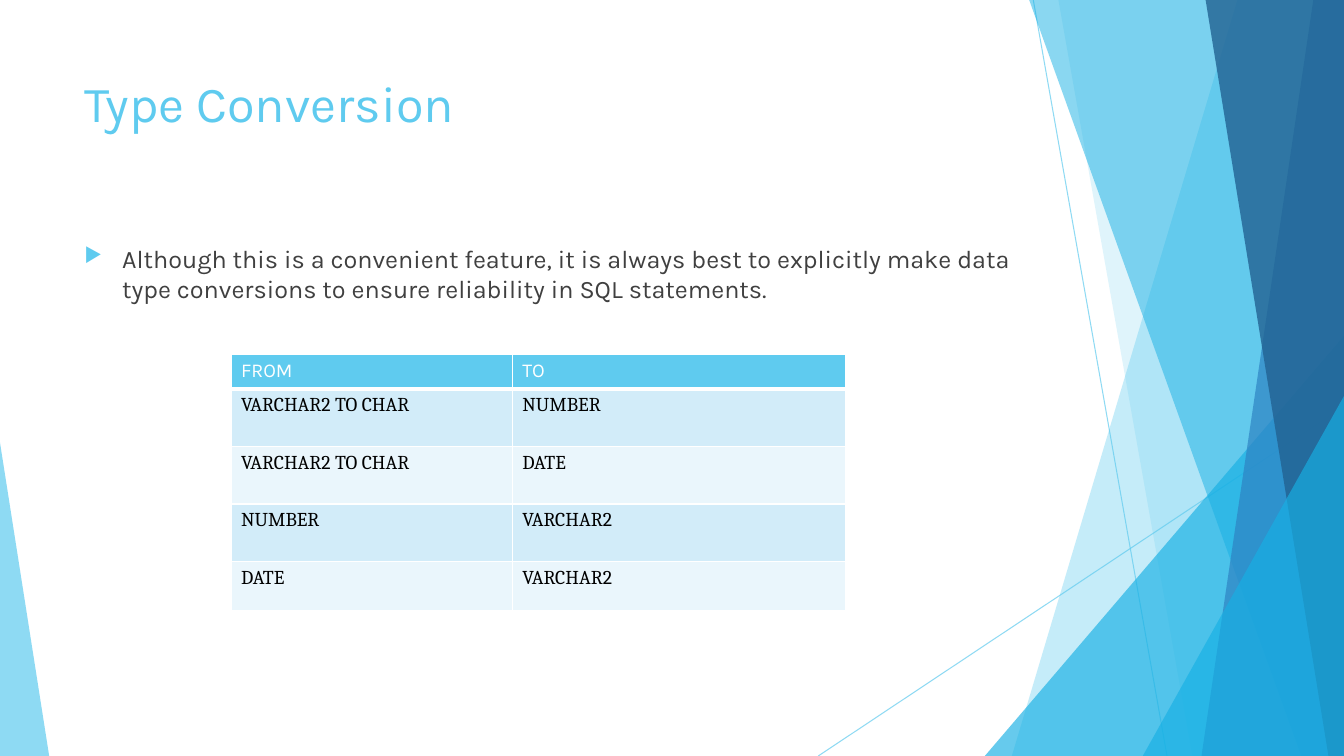
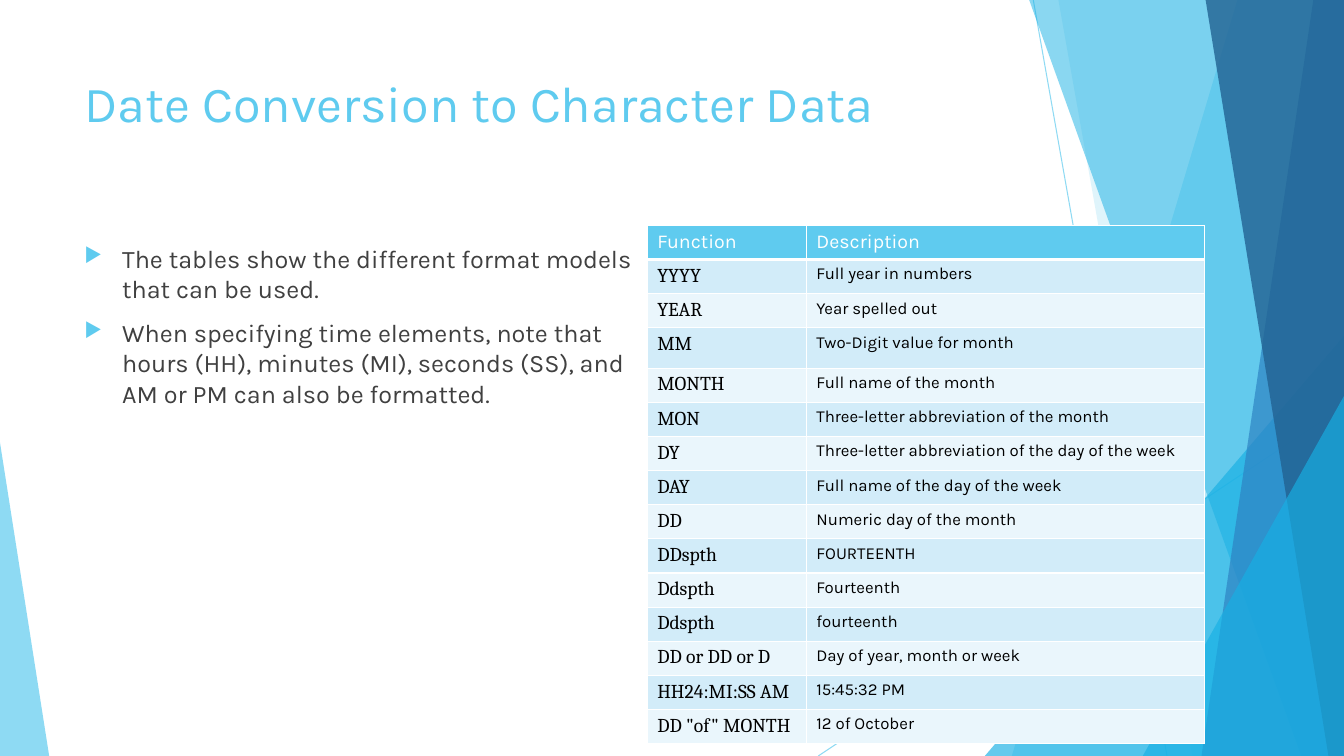
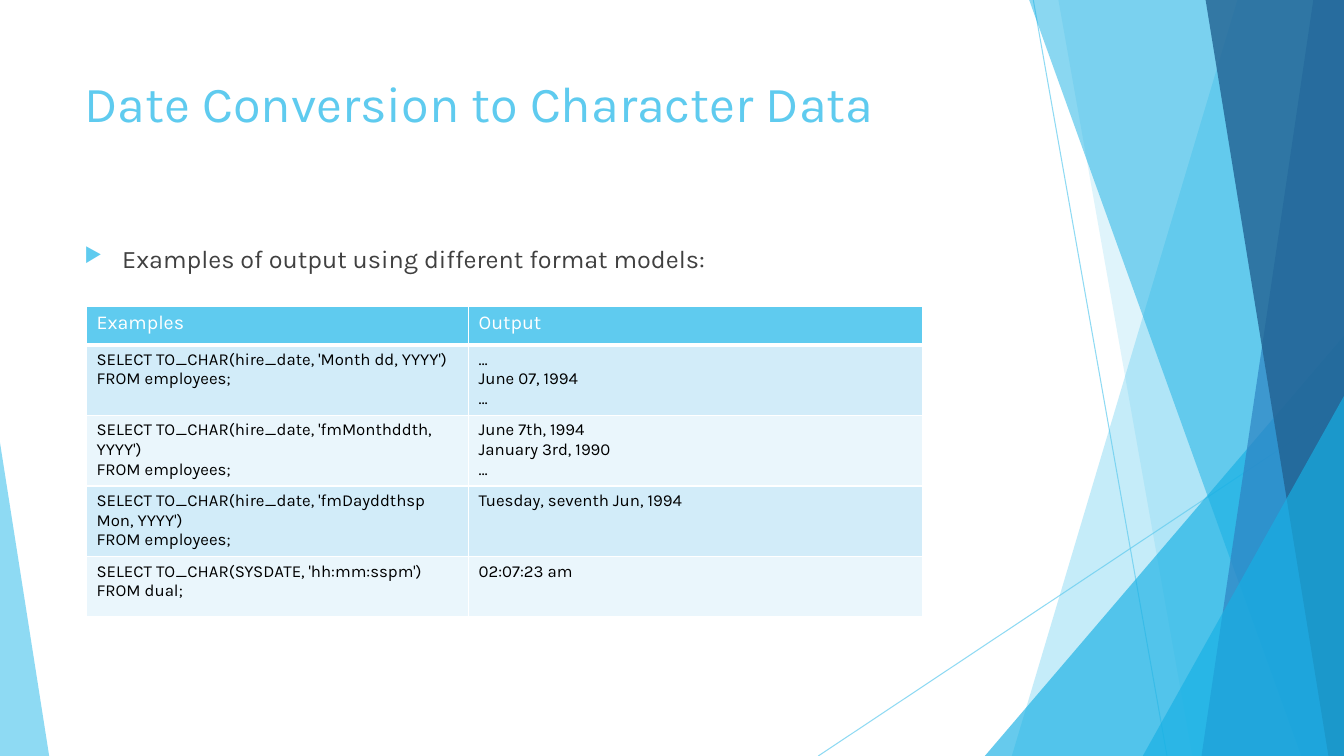
from dataclasses import dataclass

from lxml.etree import SubElement
from pptx import Presentation
from pptx.dml.color import RGBColor
from pptx.enum.shapes import MSO_CONNECTOR, MSO_SHAPE
from pptx.oxml.ns import qn
from pptx.util import Cm, Pt


@dataclass(frozen=True)
class Theme:
    sky: str = "5FCBEF"
    cyan: str = "17B0E4"
    blue: str = "2E83C3"
    navy: str = "226292"
    body: str = "404040"
    black: str = "000000"
    white: str = "FFFFFF"
    stripes: tuple = ("D2ECF9", "EAF6FC")
    font: str = "Karla"
    serif: str = "Cambria"
    title_size: int = 36
    body_size: int = 18
    table_size: int = 14
    small_size: int = 12


T = Theme()
W, H = 33.87, 19.05
TOP = -0.02

LINES = [(26.04, 0, 29.41, H), (W, 10.24, 20.62, H)]

# Bands: left edge at the top and at the bottom, both running to the right edge.
# Triangles: left, top, width and place of the apex, all standing on the bottom edge.
DECOR = [
    ("band", (31.19, 25.5), T.sky, 36),
    ("band", (26.67, 30.05), T.sky, 20),
    ("triangle", (24.82, 8.46, 9.05, 1), T.cyan, 66),
    ("band", (25.93, 32.79), T.cyan, 50),
    ("band", (33.1, 30.28), T.blue, 70),
    ("band", (30.38, 33.48), T.navy, 80),
    ("triangle", (28.8, 9.98, 5.07, 1), T.cyan, 66),
    ("triangle", (0, 11.15, 1.24, 0), T.sky, 70),
]

SERIF_CELL = (T.serif, T.table_size)
SMALL_CELL = (T.font, T.small_size)

SLIDES = [
    {
        "title": "Type Conversion",
        "bullets": [
            "Although this is a convenient feature, it is always best to explicitly make data "
            "type conversions to ensure reliability in SQL statements.",
        ],
        "body_width": 23.88,
        "table_at": (5.82, 8.94),
        "cols": (7.09, 8.41),
        "heights": [0.86] + [1.45] * 3 + [1.24],
        "styles": (SERIF_CELL, SERIF_CELL),
        "rows": [
            ("FROM", "TO"),
            ("VARCHAR2 TO CHAR", "NUMBER"),
            ("VARCHAR2 TO CHAR", "DATE"),
            ("NUMBER", "VARCHAR2"),
            ("DATE", "VARCHAR2"),
        ],
    },
    {
        "title": "Date Conversion to Character Data",
        "bullets": [
            "The tables show the different format models that can be used.",
            "When specifying time elements, note that hours (HH), minutes (MI), seconds (SS), "
            "and AM or PM can also be formatted.",
        ],
        "body_width": 14.43,
        "table_at": (16.31, 5.69),
        "cols": (4.01, 10.03),
        "heights": [0.84] + [0.86] * 2 + [1.02] + [0.86] * 11,
        "styles": (SERIF_CELL, SMALL_CELL),
        "rows": [
            ("Function", "Description"),
            ("YYYY", "Full year in numbers"),
            ("YEAR", "Year spelled out"),
            ("MM", "Two-Digit value for month"),
            ("MONTH", "Full name of the month"),
            ("MON", "Three-letter abbreviation of the month"),
            ("DY", "Three-letter abbreviation of the day of the week"),
            ("DAY", "Full name of the day of the week"),
            ("DD", "Numeric day of the month"),
            ("DDspth", "FOURTEENTH"),
            ("Ddspth", "Fourteenth"),
            ("Ddspth", "fourteenth"),
            ("DD or DD or D", "Day of year, month or week"),
            ("HH24:MI:SS AM", "15:45:32 PM"),
            ('DD "of" MONTH', "12 of October"),
        ],
    },
    {
        "title": "Date Conversion to Character Data",
        "bullets": ["Examples of output using different format models:"],
        "body_width": 25.88,
        "table_at": (2.18, 7.72),
        "cols": (9.63, 11.43),
        "heights": [0.97] + [1.5] * 4,
        "styles": (SMALL_CELL, SMALL_CELL),
        "rows": [
            ("Examples", "Output"),
            ("SELECT TO_CHAR(hire_date, 'Month dd, YYYY')\nFROM employees;",
             "…\nJune 07, 1994\n…"),
            ("SELECT TO_CHAR(hire_date, 'fmMonthddth, YYYY')\nFROM employees;",
             "June 7th, 1994\nJanuary 3rd, 1990\n…"),
            ("SELECT TO_CHAR(hire_date, 'fmDayddthsp\nMon, YYYY')\nFROM employees;",
             "Tuesday, seventh Jun, 1994"),
            ("SELECT TO_CHAR(SYSDATE, 'hh:mm:sspm')\nFROM dual;", "02:07:23 am"),
        ],
    },
]


def write(tf, text, font, size, color):
    """Fill a text frame, one paragraph per line, and format every run."""
    tf.word_wrap = True
    tf.text = text
    for p in tf.paragraphs:
        for r in p.runs:
            r.font.name, r.font.size, r.font.bold = font, Pt(size), False
            r.font.color.rgb = RGBColor.from_string(color)


def set_opacity(shape, percent):
    color = next(shape.element.spPr.iter(qn("a:srgbClr")))
    SubElement(color, qn("a:alpha"), val=str(percent * 1000))


prs = Presentation()
prs.slide_width, prs.slide_height = Cm(W), Cm(H)

for page in SLIDES:
    s = prs.slides.add_slide(prs.slide_layouts[6])

    # Shared background
    for x1, y1, x2, y2 in LINES:
        line = s.shapes.add_connector(MSO_CONNECTOR.STRAIGHT, Cm(x1), Cm(y1), Cm(x2), Cm(y2))
        line.line.color.rgb = RGBColor.from_string(T.sky)
        line.line.width = Pt(0.75)
        set_opacity(line, 70)
        SubElement(line.element.spPr, qn("a:effectLst"))
    for kind, place, color, opacity in DECOR:
        if kind == "band":
            top_x, bottom_x = place
            outline = s.shapes.build_freeform(Cm(top_x), Cm(TOP))
            corners = [(W, TOP), (W, H), (bottom_x, H)]
            outline.add_line_segments([(Cm(x), Cm(y)) for x, y in corners])
            sp = outline.convert_to_shape()
        else:
            x, y, width, apex = place
            sp = s.shapes.add_shape(MSO_SHAPE.ISOSCELES_TRIANGLE,
                                    Cm(x), Cm(y), Cm(width), Cm(H - y))
            sp.adjustments[0] = apex
        sp.shadow.inherit = False
        sp.fill.solid()
        sp.fill.fore_color.rgb = RGBColor.from_string(color)
        sp.line.fill.background()
        set_opacity(sp, opacity)

    # Title and bullets
    title = s.shapes.add_textbox(Cm(1.88), Cm(1.7), Cm(23.88), Cm(3.66))
    write(title.text_frame, page["title"], T.font, T.title_size, T.sky)

    body = s.shapes.add_textbox(Cm(1.88), Cm(6), Cm(page["body_width"]), Cm(10.77))
    write(body.text_frame, "\n".join(page["bullets"]), T.font, T.body_size, T.body)
    for p in body.text_frame.paragraphs:
        p.space_before = Pt(10)
        pPr = p._p.get_or_add_pPr()
        pPr.set("marL", str(Cm(0.95)))
        pPr.set("indent", str(-Cm(0.95)))
        SubElement(SubElement(pPr, qn("a:buClr")), qn("a:srgbClr"), val=T.sky)
        SubElement(pPr, qn("a:buSzPct"), val="80000")
        SubElement(pPr, qn("a:buChar"), char="▶")

    # Table
    x, y = page["table_at"]
    rows, cols, heights = page["rows"], page["cols"], page["heights"]
    table = s.shapes.add_table(len(rows), len(cols), Cm(x), Cm(y),
                               Cm(sum(cols)), Cm(sum(heights))).table
    for column, width in zip(table.columns, cols):
        column.width = Cm(width)
    for i, (row, height) in enumerate(zip(rows, heights)):
        table.rows[i].height = Cm(height)
        for j, text in enumerate(row):
            cell = table.cell(i, j)
            if i == 0:
                font, size, color, fill = T.font, T.table_size, T.white, T.sky
            else:
                font, size = page["styles"][j]
                color, fill = T.black, T.stripes[(i - 1) % 2]
            write(cell.text_frame, text, font, size, color)
            tcPr = cell._tc.get_or_add_tcPr()
            for side in ("lnL", "lnR", "lnT", "lnB"):
                weight = 3 if i == 0 and side == "lnB" else 1
                border = SubElement(tcPr, qn(f"a:{side}"), w=str(Pt(weight)))
                SubElement(SubElement(border, qn("a:solidFill")), qn("a:srgbClr"), val=T.white)
            cell.fill.solid()
            cell.fill.fore_color.rgb = RGBColor.from_string(fill)

prs.save("out.pptx")
